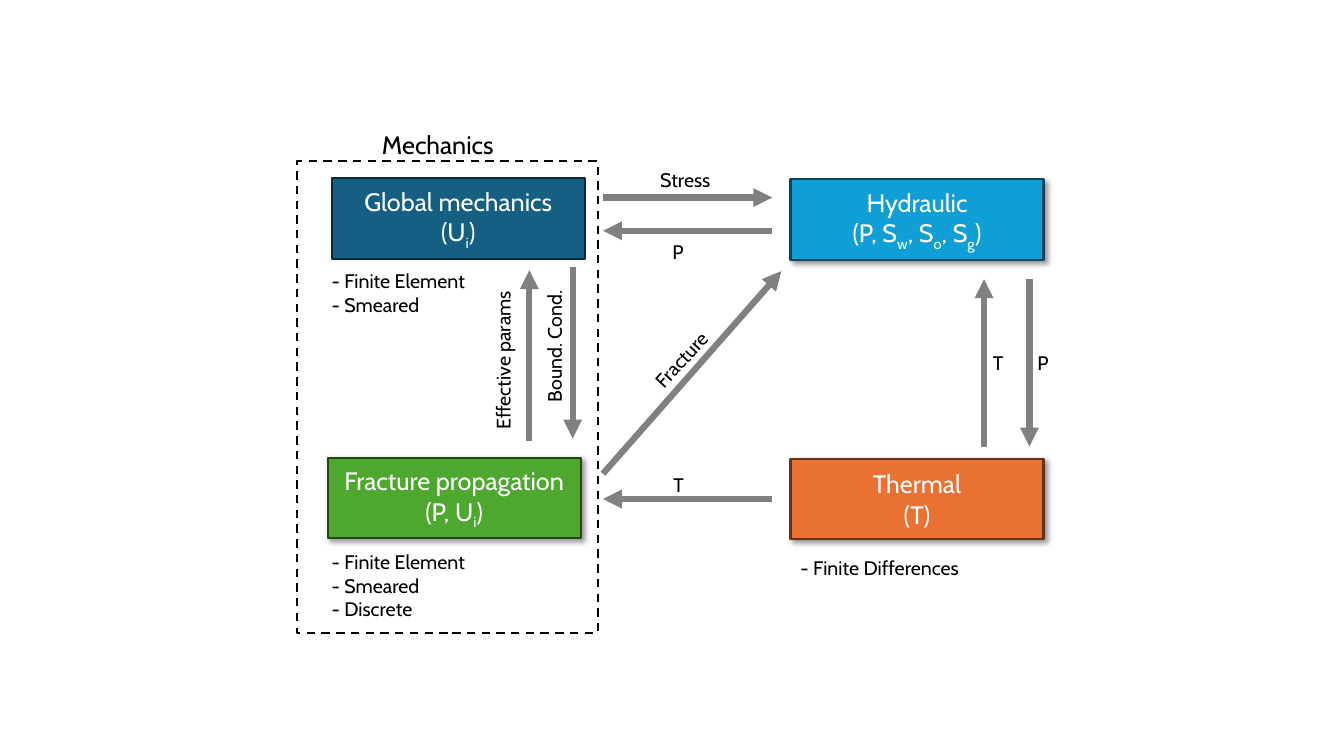
from lxml.etree import SubElement
from pptx import Presentation
from pptx.dml.color import RGBColor
from pptx.enum.dml import MSO_LINE
from pptx.enum.shapes import MSO_CONNECTOR as Connector, MSO_SHAPE as Shape
from pptx.enum.text import MSO_ANCHOR as Anchor, MSO_AUTO_SIZE as AutoSize, PP_ALIGN as Align
from pptx.oxml.ns import qn
from pptx.util import Inches, Pt

COLORS = {
    "white": "FFFFFF", "black": "000000", "arrow": "808080",
    "global": "156082", "global_edge": "092A39",
    "fracture": "4EA72E", "fracture_edge": "224914",
    "hydraulic": "0F9ED5", "hydraulic_edge": "07455D",
    "thermal": "E97132", "thermal_edge": "663216",
}
MODULE_WIDTH, MODULE_HEIGHT = 2.51, 0.8
MODULE_FONT = {"name": "Cabin", "size": Pt(18)}
LABEL_FONT = {"name": "Cabin", "size": Pt(14)}
LABEL_HEIGHT = 0.34


def color(name):
    """Return the named colour of the palette."""
    return RGBColor.from_string(COLORS[name])


def set_attributes(target, values):
    """Set each attribute in a dict of format values."""
    for name, value in values.items():
        setattr(target, name, value)


def style_font(font, values, color_name):
    """Apply format values and a colour to a font."""
    set_attributes(font, values)
    font.color.rgb = color(color_name)


def add_rectangle(slide, box, fill, edge):
    """Add an unshadowed rectangle with a fill and an outline."""
    shape = slide.shapes.add_shape(Shape.RECTANGLE, *map(Inches, box))
    shape.shadow.inherit = False
    shape.fill.solid()
    shape.fill.fore_color.rgb = color(fill)
    shape.line.color.rgb = color(edge)
    shape.line.width = Pt(1.5)
    return shape


def add_shadow(shape):
    """Give a shape a soft shadow to the lower right."""
    effects = shape._element.spPr.find(qn("a:effectLst"))
    shadow = SubElement(effects, qn("a:outerShdw"), blurRad=str(Pt(4)),
                        dist=str(Pt(3)), dir="2700000", algn="tl", rotWithShape="0")
    tint = SubElement(shadow, qn("a:srgbClr"), val=COLORS["black"])
    SubElement(tint, qn("a:alpha"), val="40000")


def add_module(slide, left, top, name, variables, palette, shadow=True):
    """Add a module box; every second part of its variables is a subscript."""
    box = (left, top, MODULE_WIDTH, MODULE_HEIGHT)
    shape = add_rectangle(slide, box, palette, f"{palette}_edge")
    if shadow:
        add_shadow(shape)
    frame = shape.text_frame
    set_attributes(frame, {"word_wrap": True, "vertical_anchor": Anchor.MIDDLE})
    for paragraph, parts in ((frame.paragraphs[0], [name]),
                             (frame.add_paragraph(), variables)):
        paragraph.alignment = Align.CENTER
        for index, part in enumerate(parts):
            run = paragraph.add_run()
            run.text = part
            style_font(run.font, MODULE_FONT, "white")
            if index % 2:
                run._r.get_or_add_rPr().set("baseline", "-25000")


def add_label(slide, box, lines, rotation=0, font=LABEL_FONT):
    """Add unwrapped black text, one paragraph for each line."""
    shape = slide.shapes.add_textbox(*map(Inches, box))
    shape.rotation = rotation
    frame = shape.text_frame
    set_attributes(frame, {"word_wrap": False, "auto_size": AutoSize.SHAPE_TO_FIT_TEXT})
    for index, line in enumerate(lines):
        paragraph = frame.add_paragraph() if index else frame.paragraphs[0]
        run = paragraph.add_run()
        run.text = line
        style_font(run.font, font, "black")


def add_arrow(slide, start, tip):
    """Add a thick grey arrow from its start to its tip."""
    arrow = slide.shapes.add_connector(Connector.STRAIGHT, *map(Inches, start + tip))
    arrow.line.color.rgb = color("arrow")
    arrow.line.width = Pt(4.5)
    SubElement(arrow.line._get_or_add_ln(), qn("a:tailEnd"), type="triangle")
    SubElement(arrow._element.spPr, qn("a:effectLst"))


def add_mechanics(slide, box):
    """Draw the dashed mechanics group with its two modules."""
    left, top = box[:2]
    frame = add_rectangle(slide, box, "white", "black")
    frame.line.dash_style = MSO_LINE.DASH
    add_label(slide, (left + 0.74, top - 0.37, 1.4, 0.4), ["Mechanics"], font=MODULE_FONT)
    add_module(slide, left + 0.34, top + 0.17, "Global mechanics",
               ["(U", "i", ")"], "global", shadow=False)
    add_module(slide, left + 0.3, top + 2.94, "Fracture propagation",
               ["(P, U", "i", ")"], "fracture")
    methods = ["- Finite Element", "- Smeared"]
    add_label(slide, (left + 0.24, top + 1.02, 1.53, 0.57), methods)
    add_label(slide, (left + 0.24, top + 3.81, 1.53, 0.81), methods + ["- Discrete"])
    for x, start, tip in ((2.3, 2.78, 1.08), (2.73, 1.05, 2.75)):
        add_arrow(slide, (left + x, top + start), (left + x, top + tip))
    for x, y, width, text in ((1.23, 1.78, 1.62, "Effective params"),
                              (1.86, 1.63, 1.38, "Bound. Cond.")):
        add_label(slide, (left + x, top + y, width, LABEL_HEIGHT), [text], 270)


def add_reservoir(slide, box):
    """Draw the hydraulic and thermal modules at the ends of the box."""
    left, top, _, height = box
    add_module(slide, left, top, "Hydraulic",
               ["(P, S", "w", ", S", "o", ", S", "g", ")"], "hydraulic")
    add_module(slide, left, top + height - MODULE_HEIGHT, "Thermal", ["(T)"], "thermal")
    add_label(slide, (left, top + height + 0.12, 1.8, LABEL_HEIGHT),
              ["- Finite Differences"])
    for x, start, tip, label_x, text in ((1.92, 2.65, 0.99, 1.91, "T"),
                                         (2.37, 0.99, 2.65, 2.35, "P")):
        add_arrow(slide, (left + x, top + start), (left + x, top + tip))
        add_label(slide, (left + label_x, top + 1.65, 0.31, LABEL_HEIGHT), [text])


def add_exchange(slide, box):
    """Draw the labelled arrows between mechanics and reservoir."""
    left, top, width, height = box
    reach = 1.68
    exchanges = (
        ((0, 0.34), (reach, 0.34), (0.47, 0, 0.73), "Stress", 0),
        ((reach, 0.67), (0, 0.67), (0.59, 0.71, 0.32), "P", 0),
        ((reach, height), (0, height), (0.6, 3.02, 0.3), "T", 0),
        ((0, 3.08), (width, 1.07), (0.34, 1.76, 0.91), "Fracture", 312.7),
    )
    for start, tip, (x, y, label_width), text, rotation in exchanges:
        add_arrow(slide, (left + start[0], top + start[1]), (left + tip[0], top + tip[1]))
        add_label(slide, (left + x, top + y, label_width, LABEL_HEIGHT), [text], rotation)


def main():
    """Build and save the coupling diagram."""
    presentation = Presentation()
    presentation.slide_width, presentation.slide_height = Inches(13.33), Inches(7.5)
    slide = presentation.slides.add_slide(presentation.slide_layouts[6])
    add_mechanics(slide, (2.95, 1.6, 2.98, 4.68))
    add_reservoir(slide, (7.84, 1.78, MODULE_WIDTH, 3.57))
    add_exchange(slide, (5.98, 1.62, 1.77, 3.33))
    presentation.save("out.pptx")


if __name__ == "__main__":
    main()
